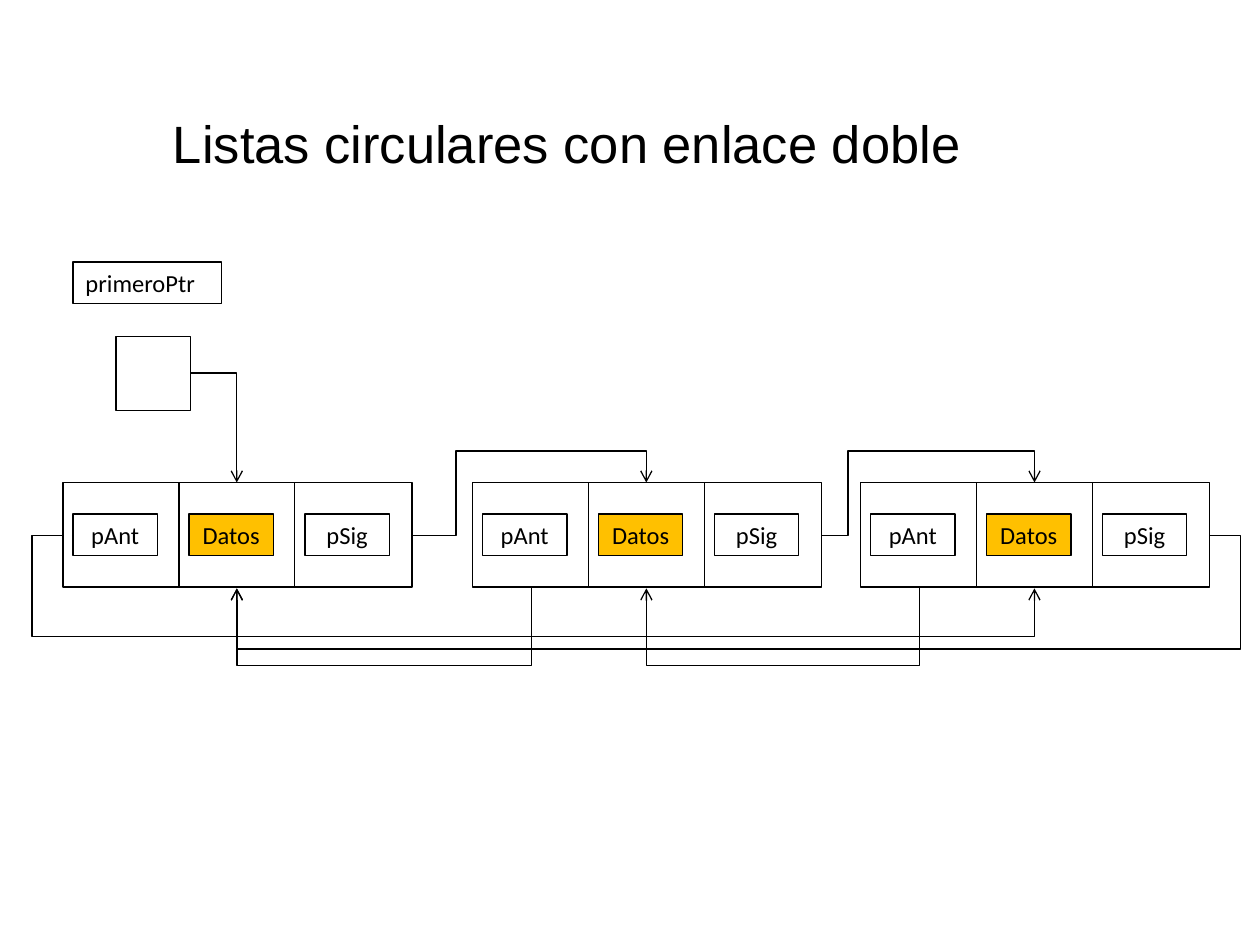
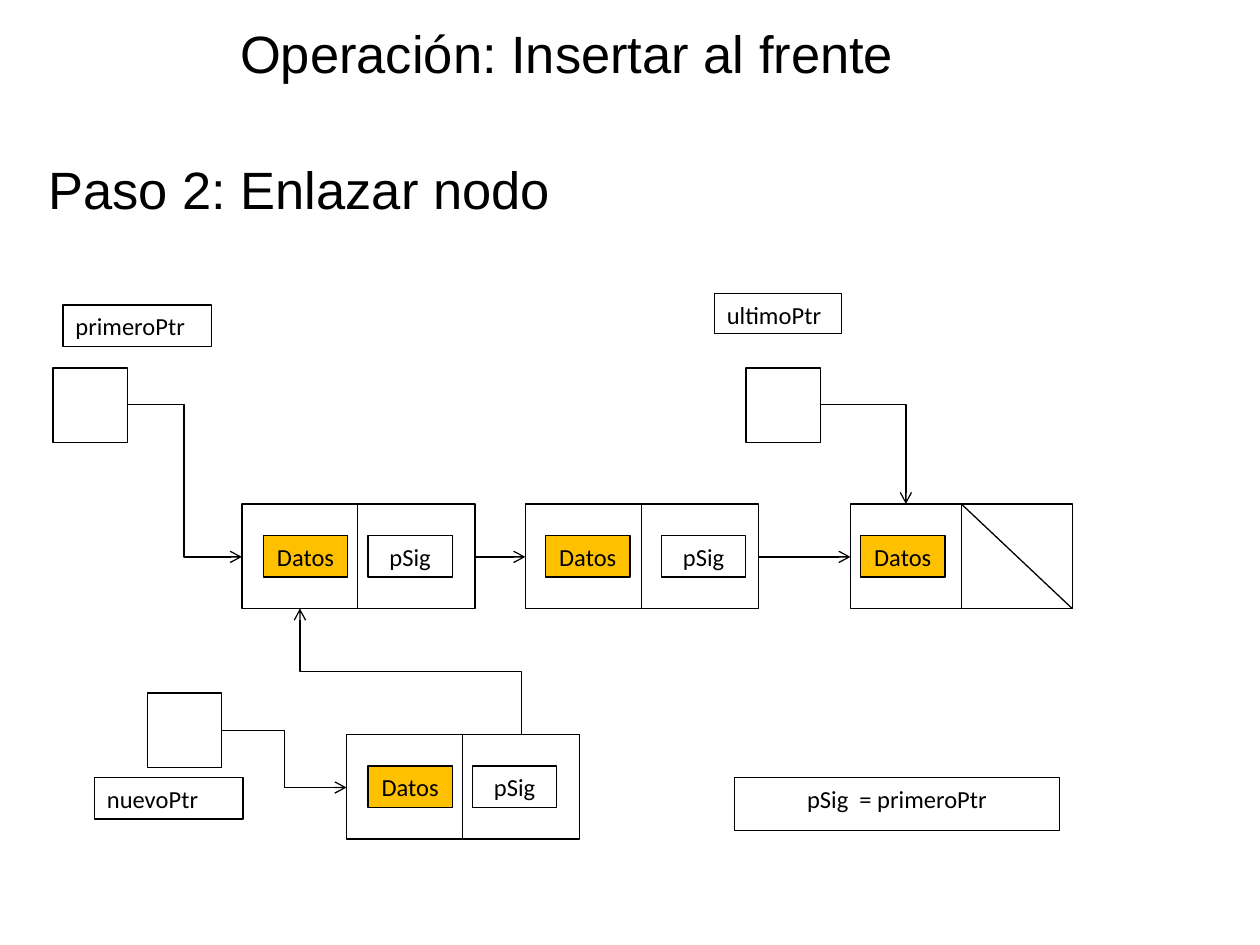
import pptx
import pptx.dml.color
import pptx.enum.shapes
import pptx.enum.text
import pptx.oxml.ns
import pptx.oxml.xmlchemy
import pptx.util
from dataclasses import dataclass

Inches, Pt = pptx.util.Inches, pptx.util.Pt
RGB = pptx.dml.color.RGBColor.from_string
ALIGN = pptx.enum.text.PP_ALIGN
ANCHOR = pptx.enum.text.MSO_ANCHOR
LINK = pptx.enum.shapes.MSO_CONNECTOR
RECT = pptx.enum.shapes.MSO_SHAPE.RECTANGLE
qn = pptx.oxml.ns.qn


@dataclass(frozen=True)
class Theme:
    ink: str = "000000"
    paper: str = "FFFFFF"
    data: str = "FFC000"
    head: str = "Arial"
    body: str = "Calibri"
    big: int = 30
    small: int = 14
    rule: float = 0.75


THEME = Theme()
CELL, STEP, TALL = 0.93, 0.92, 0.83   # node cell width, pitch and height
TAG = (0.67, 0.33)                    # field label size
DROP = 0.25                           # field label below the node top
SIDE = 0.59                           # pointer box

# Content: nodes are (left, top, cell width, cell pitch, {field: offset});
# links list the points that each arrow passes through
TRIPLE = {"pAnt": 0.08, "Datos": 1, "pSig": 1.92}
PAIR = {"Datos": 0.17, "pSig": 1}

SLIDES = [
    {
        "heads": [("Listas circulares con enlace doble", (0, 0.42, 9, 1.42))],
        "names": [("primeroPtr", (0.58, 2.08, 1.18, 0.33), ALIGN.LEFT)],
        "ptrs": [(0.92, 2.67)],
        "nodes": [(x, 3.83, CELL, STEP, TRIPLE) for x in (0.5, 3.75, 6.83)],
        "links": [
            [(1.51, 2.96), (1.88, 2.96), (1.88, 3.83)],
            [(3.27, 4.25), (3.62, 4.25), (3.62, 3.58), (5.13, 3.58), (5.13, 3.83)],
            [(6.52, 4.25), (6.73, 4.25), (6.73, 3.58), (8.21, 3.58), (8.21, 3.83)],
            [(4.22, 4.66), (4.22, 5.29), (1.88, 5.29), (1.88, 4.67)],
            [(7.3, 4.66), (7.3, 5.29), (5.13, 5.29), (5.13, 4.67)],
            [(9.6, 4.25), (9.85, 4.25), (9.85, 5.15), (1.88, 5.15), (1.88, 4.67)],
            [(0.5, 4.25), (0.25, 4.25), (0.25, 5.05), (8.21, 5.05), (8.21, 4.67)],
        ],
        "nulls": [],
    },
    {
        "heads": [
            ("Operación: Insertar al frente", (0, 0, 9, 0.83)),
            ("Paso 2: Enlazar nodo", (0, 1.08, 4.75, 0.83)),
        ],
        "names": [
            ("primeroPtr", (0.5, 2.42, 1.18, 0.33), ALIGN.LEFT),
            ("ultimoPtr", (5.67, 2.33, 1.01, 0.32), ALIGN.LEFT),
            ("nuevoPtr", (0.75, 6.17, 1.18, 0.33), ALIGN.LEFT),
            ("pSig  = primeroPtr", (5.83, 6.17, 2.58, 0.42), ALIGN.CENTER),
        ],
        "ptrs": [(0.42, 2.92), (5.92, 2.92), (1.17, 5.5)],
        "nodes": [
            (1.92, 4, CELL, STEP, PAIR),
            (4.17, 4, CELL, STEP, {"Datos": 0.16, "pSig": 1.08}),
            (6.75, 4, 0.88, 0.88, {"Datos": 0.08}),
            (2.75, 5.83, CELL, STEP, PAIR),
        ],
        "links": [
            [(1.01, 3.21), (1.46, 3.21), (1.46, 4.42), (1.92, 4.42)],
            [(6.51, 3.21), (7.19, 3.21), (7.19, 4)],
            [(3.77, 4.42), (4.17, 4.42)],
            [(6.02, 4.42), (6.75, 4.42)],
            [(1.76, 5.8), (2.26, 5.8), (2.26, 6.25), (2.75, 6.25)],
            [(4.14, 5.83), (4.14, 5.33), (2.38, 5.33), (2.38, 4.83)],
        ],
        "nulls": [[(7.63, 4), (8.51, 4.83)]],
    },
]


def put(shape, text, font=THEME.body, size=THEME.small,
        align=ALIGN.CENTER, anchor=ANCHOR.TOP):
    """Write one formatted paragraph into a shape."""
    frame = shape.text_frame
    frame.word_wrap = True
    frame.vertical_anchor = anchor
    para = frame.paragraphs[0]
    para.text, para.alignment = text, align
    para.font.name, para.font.size = font, Pt(size)
    para.font.color.rgb = RGB(THEME.ink)


def rect(slide, box, fill=THEME.paper):
    shape = slide.shapes.add_shape(RECT, *map(Inches, box))
    shape.shadow.inherit = False
    shape.fill.solid()
    shape.fill.fore_color.rgb = RGB(fill)
    shape.line.color.rgb = RGB(THEME.ink)
    shape.line.width = Pt(THEME.rule)
    return shape


def node(slide, left, top, wide, step, tags):
    for i in range(max(2, len(tags))):
        rect(slide, (left + i * step, top, wide, TALL))
    for text, shift in tags.items():
        fill = THEME.data if text == "Datos" else THEME.paper
        put(rect(slide, (left + shift, top + DROP, *TAG), fill), text)


def add(parent, tag, **attrs):
    """Append an XML element with its attributes."""
    item = pptx.oxml.xmlchemy.OxmlElement(tag)
    for key, value in attrs.items():
        item.set(key, value)
    parent.append(item)


def bend(line, pts):
    """Shape an elbow connector so that it runs through the points."""
    (x0, y0), (x1, y1) = pts[0], pts[-1]
    dx, dy = x1 - x0, y1 - y0
    props = line.element.spPr
    geom = props.find(qn("a:prstGeom"))
    geom.set("prst", f"bentConnector{len(pts) - 1}")
    if pts[1][0] == x0:
        # Starts vertically and heads left: turn the frame about its centre
        ratios = [(pts[1][1] - y0) / dy]
        wide, high = abs(dy), abs(dx)
        line.left = Inches((x0 + x1 - wide) / 2)
        line.top = Inches((y0 + y1 - high) / 2)
        line.width, line.height = Inches(wide), Inches(high)
        frame = props.find(qn("a:xfrm"))
        for flip in ("flipH", "flipV"):
            frame.attrib.pop(flip, None)
        frame.set("rot", str((90 if dy > 0 else 270) * 60000))
        if dy < 0:
            frame.set("flipV", "1")
    else:
        ratios = [(pts[1][0] - x0) / dx, (pts[2][1] - y0) / dy]
    guides = geom.find(qn("a:avLst"))
    for i, ratio in enumerate(ratios[:len(pts) - 3], 1):
        add(guides, "a:gd", name=f"adj{i}", fmla=f"val {round(ratio * 100000)}")


def link(slide, pts, arrow=True):
    kind = LINK.ELBOW if len(pts) > 2 else LINK.STRAIGHT
    ends = [Inches(v) for v in (*pts[0], *pts[-1])]
    line = slide.shapes.add_connector(kind, *ends)
    if len(pts) > 2:
        bend(line, pts)
    line.line.color.rgb = RGB(THEME.ink)
    line.line.width = Pt(THEME.rule)
    props = line.element.spPr
    if arrow:
        add(props.find(qn("a:ln")), "a:tailEnd", type="arrow")
    add(props, "a:effectLst")


def build(slide, part):
    # Headings
    for text, box in part["heads"]:
        put(slide.shapes.add_textbox(*map(Inches, box)), text,
            font=THEME.head, size=THEME.big, anchor=ANCHOR.MIDDLE)
    # Pointer names and pointer boxes
    for text, box, align in part["names"]:
        put(rect(slide, box), text, align=align)
    for spot in part["ptrs"]:
        rect(slide, (*spot, SIDE, SIDE))
    # Nodes, null marks and arrows
    for item in part["nodes"]:
        node(slide, *item)
    for pts in part["nulls"]:
        link(slide, pts, arrow=False)
    for pts in part["links"]:
        link(slide, pts)


def main():
    deck = pptx.Presentation()
    deck.slide_width, deck.slide_height = Inches(10), Inches(7.5)
    for part in SLIDES:
        build(deck.slides.add_slide(deck.slide_layouts[6]), part)
    deck.save("out.pptx")


if __name__ == "__main__":
    main()
